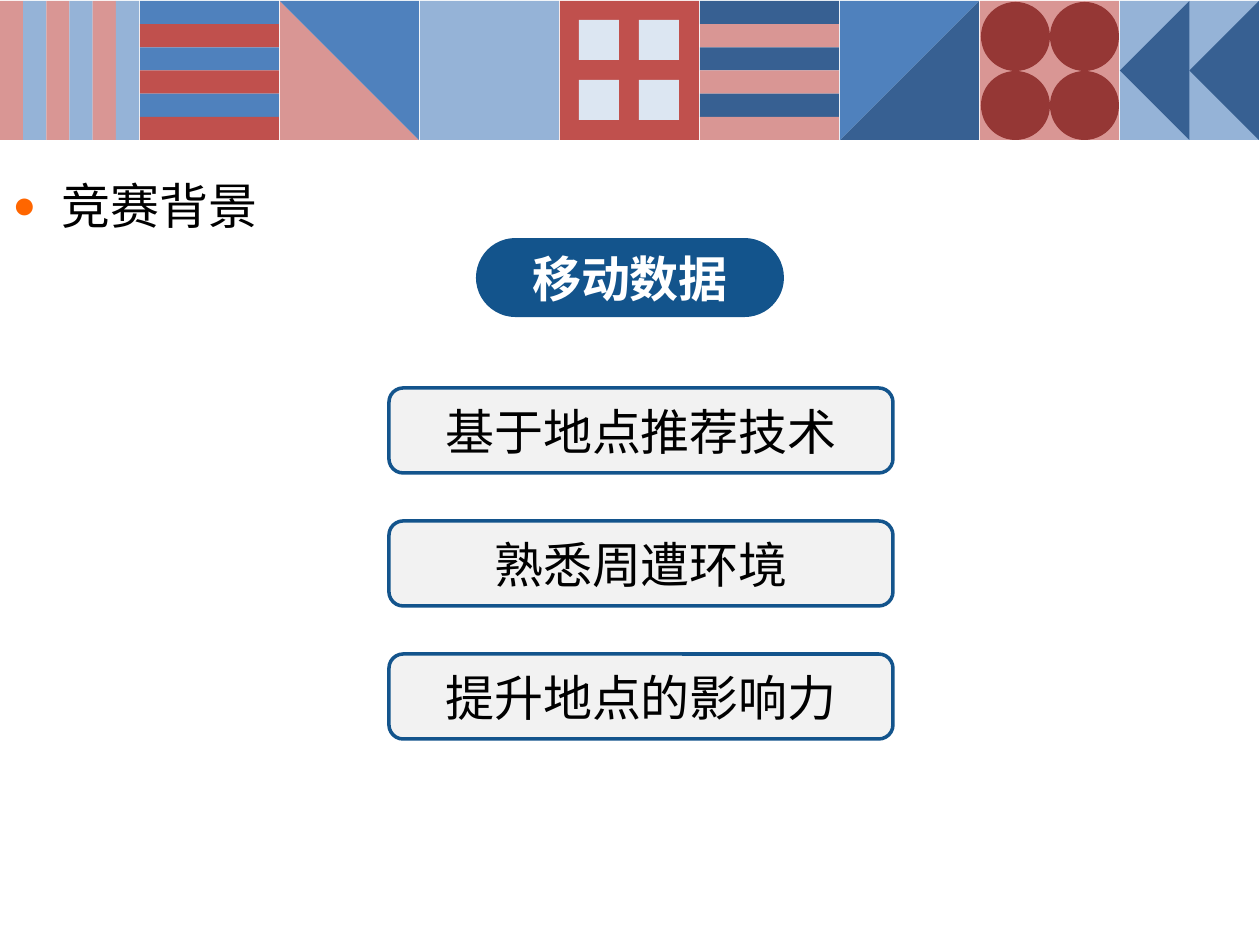
from lxml.etree import SubElement
from pptx import Presentation
from pptx.dml.color import RGBColor
from pptx.enum.shapes import MSO_SHAPE
from pptx.enum.text import MSO_ANCHOR, MSO_AUTO_SIZE, PP_ALIGN
from pptx.oxml.ns import qn
from pptx.util import Emu, Pt

PX = 914400 // 126
FONT = "Times New Roman"
HEADING = "竞赛背景"
TOPIC = "移动数据"
POINTS = ["基于地点推荐技术", "熟悉周遭环境", "提升地点的影响力"]

SKY, BLUE, NAVY = "95B3D7", "4F81BD", "376092"
PINK, RED, MAROON, PALE = "D99694", "C0504D", "953735", "DCE6F2"
ACCENT, PANEL, ORANGE = "13548C", "F2F2F2", "FF6600"
TILE, PITCH, TILE_TOP, STRIPES = 139, 140, 1, 6


def px(value):
    return Emu(round(value * PX))


def color(value):
    return RGBColor.from_string(value)


def add_shape(slide, kind, left, top, width, height, fill, rotation=0):
    """Add a flat shape whose box is given as it appears after rotation."""
    if rotation in (90, 270):
        left, top = left + (width - height) / 2, top + (height - width) / 2
        width, height = height, width
    shape = slide.shapes.add_shape(kind, px(left), px(top), px(width), px(height))
    shape.rotation = rotation
    shape.shadow.inherit = False
    shape.fill.solid()
    shape.fill.fore_color.rgb = color(fill)
    shape.line.fill.background()
    return shape


def add_square(slide, column, fill):
    add_shape(slide, MSO_SHAPE.RECTANGLE, column * PITCH, TILE_TOP, TILE, TILE, fill)


def add_stripes(slide, column, fills, vertical=False):
    step = TILE / STRIPES
    for index in range(STRIPES):
        offset = index * step
        if vertical:
            box = (column * PITCH + offset, TILE_TOP, step, TILE)
        else:
            box = (column * PITCH, TILE_TOP + offset, TILE, step)
        add_shape(slide, MSO_SHAPE.RECTANGLE, *box, fills[index % 2])


def add_halves(slide, column, halves):
    for fill, rotation in halves:
        add_shape(slide, MSO_SHAPE.RIGHT_TRIANGLE, column * PITCH, TILE_TOP,
                  TILE, TILE, fill, rotation)


def add_grid(slide, column, kind, background, fill, margin, size, step):
    add_square(slide, column, background)
    for row in range(2):
        for place in range(2):
            add_shape(slide, kind, column * PITCH + margin + place * step,
                      TILE_TOP + margin + row * step, size, size, fill)


def add_arrows(slide, column, background, fill):
    add_square(slide, column, background)
    for index in range(2):
        add_shape(slide, MSO_SHAPE.ISOSCELES_TRIANGLE, column * PITCH + index * TILE / 2,
                  TILE_TOP, TILE / 2, TILE, fill, 270)


def add_banner(slide):
    add_stripes(slide, 0, (PINK, SKY), vertical=True)
    add_stripes(slide, 1, (BLUE, RED))
    add_halves(slide, 2, [(PINK, 0), (BLUE, 180)])
    add_square(slide, 3, SKY)
    add_grid(slide, 4, MSO_SHAPE.RECTANGLE, RED, PALE, 19, 40, 60)
    add_stripes(slide, 5, (NAVY, PINK))
    add_halves(slide, 6, [(NAVY, 270), (BLUE, 90)])
    add_grid(slide, 7, MSO_SHAPE.OVAL, PINK, MAROON, 1, 69, 69)
    add_arrows(slide, 8, SKY, NAVY)


def format_font(paragraph, fill, bold=False):
    font = paragraph.font
    font.name, font.size, font.bold = FONT, Pt(28), bold
    font.color.rgb = color(fill)


def add_bullet(paragraph):
    properties = paragraph._p.get_or_add_pPr()
    properties.set("marL", str(px(49)))
    properties.set("indent", str(-px(49)))
    bullet_color = SubElement(properties, qn("a:buClr"))
    SubElement(bullet_color, qn("a:srgbClr")).set("val", ORANGE)
    SubElement(properties, qn("a:buSzPct")).set("val", "80000")
    SubElement(properties, qn("a:buFont")).set("typeface", FONT)
    SubElement(properties, qn("a:buChar")).set("char", "●")


def add_heading(slide):
    body = slide.placeholders[1]
    body.left, body.top, body.width, body.height = px(0), px(149), px(363), px(84)
    body.text_frame.text = HEADING
    body.text_frame.auto_size = MSO_AUTO_SIZE.SHAPE_TO_FIT_TEXT
    paragraph = body.text_frame.paragraphs[0]
    add_bullet(paragraph)
    paragraph.alignment = PP_ALIGN.JUSTIFY
    paragraph.line_spacing = 1.35
    paragraph.space_before = Pt(0)
    format_font(paragraph, "000000")


def add_label(slide, text, box, fill, text_color, bold=False):
    shape = add_shape(slide, MSO_SHAPE.ROUNDED_RECTANGLE, *box, fill)
    frame = shape.text_frame
    frame.text = text
    frame.word_wrap = False
    frame.vertical_anchor = MSO_ANCHOR.MIDDLE
    paragraph = frame.paragraphs[0]
    paragraph.alignment = PP_ALIGN.CENTER
    format_font(paragraph, text_color, bold)
    return shape


def main():
    presentation = Presentation()
    presentation.slide_width, presentation.slide_height = px(1260), px(945)
    slide = presentation.slides.add_slide(presentation.slide_layouts[1])
    title = slide.shapes.title._element
    title.getparent().remove(title)

    add_banner(slide)
    add_heading(slide)
    topic = add_label(slide, TOPIC, (476, 238, 308, 79), ACCENT, "FFFFFF", bold=True)
    topic.adjustments[0] = 0.5
    for index, point in enumerate(POINTS):
        panel = add_label(slide, point, (389, 388 + index * 133, 504, 85), PANEL, "000000")
        panel.line.color.rgb = color(ACCENT)
        panel.line.width = Pt(2)
    presentation.save("out.pptx")


if __name__ == "__main__":
    main()
